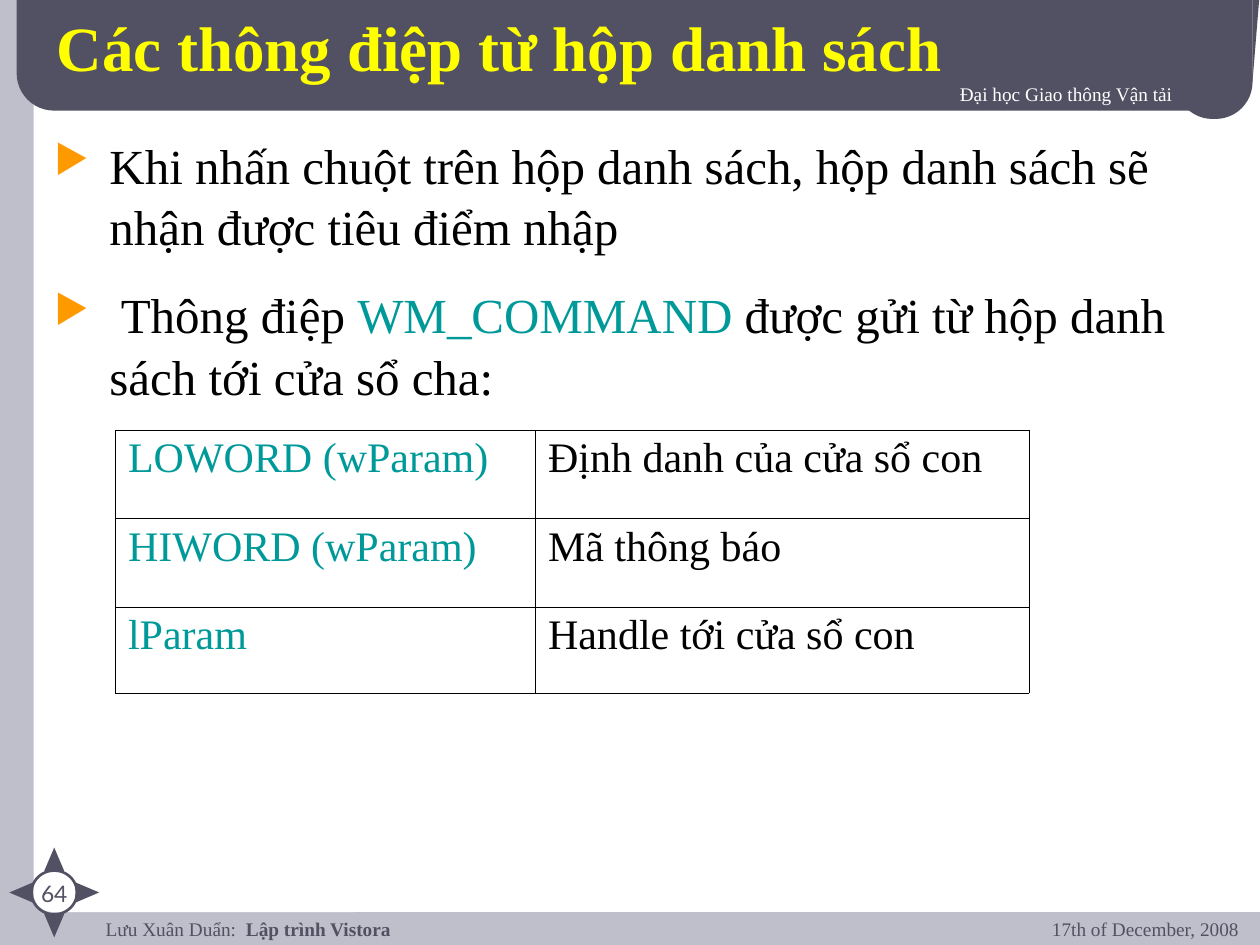
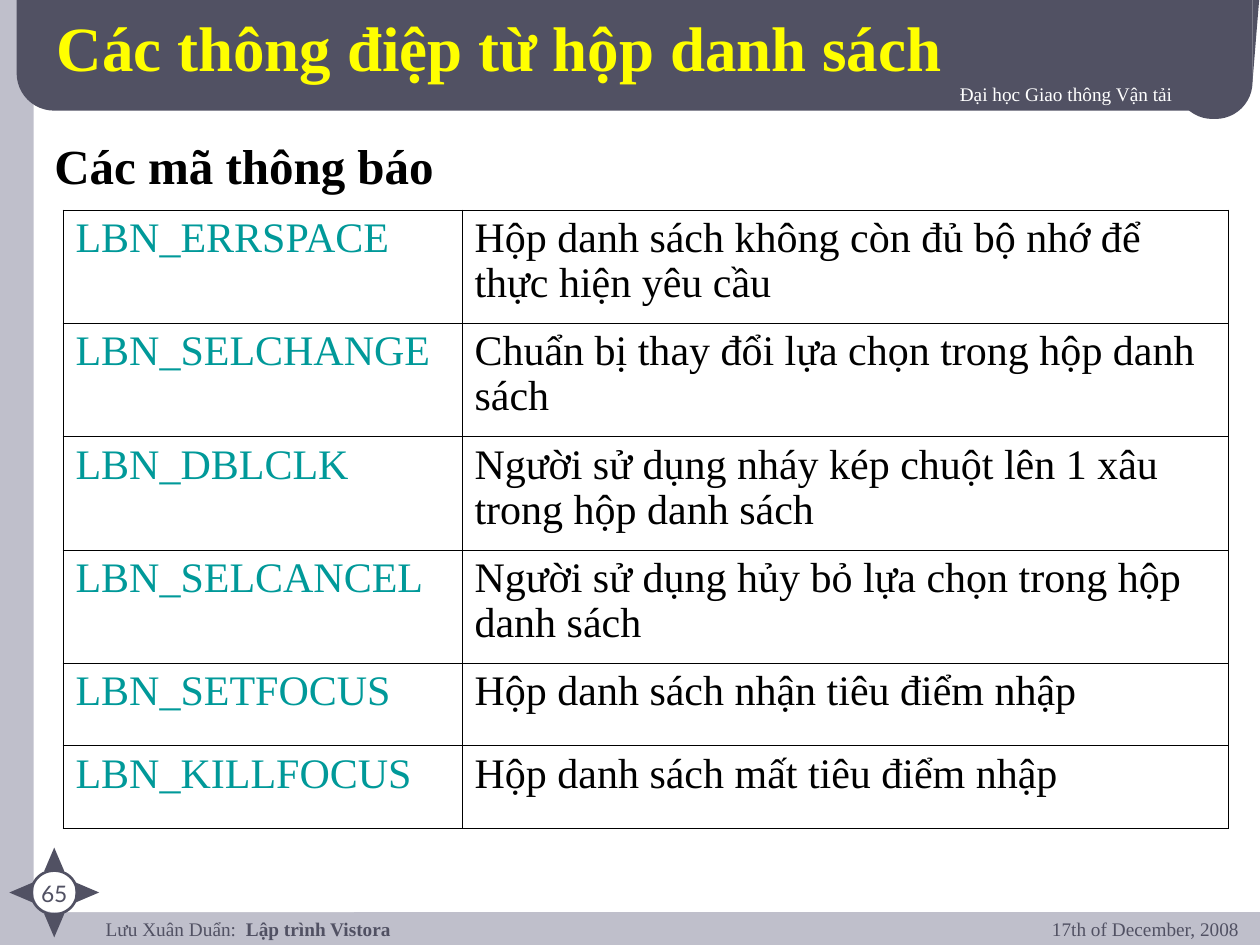
import math
import pptx
import pptx.util
import pptx.dml.color
import pptx.enum.shapes
import pptx.enum.text
import pptx.oxml
from lxml import etree

Pt = pptx.util.Pt
Kind = pptx.enum.shapes.MSO_SHAPE
Align = pptx.enum.text.PP_ALIGN
Anchor = pptx.enum.text.MSO_ANCHOR
NAMESPACE = "http://schemas.openxmlformats.org/drawingml/2006/main"

COLORS = {
    "edge": "BFBFCB",
    "paper": "FFFFFF",
    "band": "515163",
    "title": "FFFF00",
    "ink": "000000",
    "code": "009999",
    "bullet": "FF9900",
}
SERIF = "Times New Roman"
FIRST_PAGE = 64
SCHOOL = "Đại học Giao thông Vận tải"
AUTHOR = "Lưu Xuân Duẩn: "
COURSE = " Lập trình Vistora"
DATE = "17th of December, 2008"

SLIDES = [
    {
        "title": "Các thông điệp từ hộp danh sách",
        "box": (24, 72, 678, 158),
        "bullets": True,
        "body": [
            [("Khi nhấn chuột trên hộp danh sách, hộp danh sách sẽ nhận được tiêu điểm nhập", {})],
            [
                (" Thông điệp ", {}),
                ("WM_COMMAND", {"color": "code"}),
                (" được gửi từ hộp danh sách tới cửa sổ cha:", {}),
            ],
        ],
        "corner": (66, 246),
        "columns": (240, 282),
        "heights": (50.5, 50.5, 49),
        "rows": [
            ("LOWORD (wParam)", "Định danh của cửa sổ con"),
            ("HIWORD (wParam)", "Mã thông báo"),
            ("lParam", "Handle tới cửa sổ con"),
        ],
    },
    {
        "title": "Các thông điệp từ hộp danh sách",
        "box": (24, 72, 258, 41),
        "bullets": False,
        "body": [[("Các mã thông báo", {"bold": True})]],
        "corner": (36, 120),
        "columns": (228, 438),
        "heights": (64.8,) * 4 + (47,) * 2,
        "rows": [
            ("LBN_ERRSPACE", "Hộp danh sách không còn đủ bộ nhớ để thực hiện yêu cầu"),
            ("LBN_SELCHANGE", "Chuẩn bị thay đổi lựa chọn trong hộp danh sách"),
            ("LBN_DBLCLK", "Người sử dụng nháy kép chuột lên 1 xâu trong hộp danh sách"),
            ("LBN_SELCANCEL", "Người sử dụng hủy bỏ lựa chọn trong hộp danh sách"),
            ("LBN_SETFOCUS", "Hộp danh sách nhận tiêu điểm nhập"),
            ("LBN_KILLFOCUS", "Hộp danh sách mất tiêu điểm nhập"),
        ],
    },
]


def rgb(name):
    return pptx.dml.color.RGBColor.from_string(COLORS[name])


def fragment(tag, content="", attributes=""):
    return pptx.oxml.parse_xml(
        f'<a:{tag} xmlns:a="{NAMESPACE}" {attributes}>{content}</a:{tag}>'
    )


def fill_xml(name):
    return f'<a:solidFill><a:srgbClr val="{COLORS[name]}"/></a:solidFill>'


def add_span(para, text, size=28, color="ink", font=SERIF, bold=False, shadow=0):
    span = para.add_run()
    span.text = text
    span.font.size = Pt(size)
    span.font.bold = bold
    span.font.name = font
    span.font.color.rgb = rgb(color)
    if shadow:
        effect = fragment(
            "effectLst",
            f'<a:outerShdw dist="{Pt(shadow)}" dir="2700000"><a:srgbClr val="000000"/></a:outerShdw>',
        )
        span.font.fill._xPr.find(f"{{{NAMESPACE}}}solidFill").addnext(effect)


def add_box(page, place, inset=3.6):
    box = page.shapes.add_textbox(*map(Pt, place))
    frame = box.text_frame
    frame.word_wrap = True
    frame.margin_top = frame.margin_bottom = Pt(inset)
    return frame


def add_label(page, place, spans, align=Align.LEFT, inset=3.6, **style):
    para = add_box(page, place, inset).paragraphs[0]
    para.alignment = align
    for text, extra in spans:
        add_span(para, text, **style, **extra)


def add_shape(page, kind, place, fill=None, line=None, corner=None, turn=0):
    shape = page.shapes.add_shape(kind, *map(Pt, place))
    shape.shadow.inherit = False
    shape.rotation = turn
    if corner is not None:
        shape.adjustments[0] = corner
    if fill:
        shape.fill.solid()
        shape.fill.fore_color.rgb = rgb(fill)
    else:
        shape.fill.background()
    if line:
        shape.line.color.rgb = rgb(line)
        shape.line.width = Pt(1.5)
    else:
        shape.line.fill.background()


def add_compass(page, number):
    center_x, center_y, reach = 31, 510, 18.9
    width, height = 11.5, 13.5
    add_label(page, (10, 499, 42, 16), [(str(number), {})], Align.CENTER,
              size=13, color="band", font="Lato")
    add_shape(page, Kind.OVAL, (center_x - 13, center_y - 12.5, 26, 25), line="band")
    for turn in range(0, 360, 90):
        angle = math.radians(turn)
        x = center_x + reach * math.sin(angle)
        y = center_y - reach * math.cos(angle)
        add_shape(page, Kind.ISOSCELES_TRIANGLE,
                  (x - width / 2, y - height / 2, width, height), "band", turn=turn)


def add_frame(page, number):
    page.background.fill.solid()
    page.background.fill.fore_color.rgb = rgb("edge")
    add_shape(page, Kind.ROUNDED_RECTANGLE, (19.2, -9.4, 721, 530.6), "paper", corner=0.02)
    add_shape(page, Kind.ROUNDED_RECTANGLE, (9.5, -26, 706.2, 89.2), "band", corner=0.24)
    add_shape(page, Kind.ROUNDED_RECTANGLE, (671.8, 21, 43.9, 47), "band", corner=0.48)
    wedge = page.shapes.build_freeform(Pt(715.6), Pt(-6))
    wedge.add_line_segments([(Pt(720), Pt(-6)), (Pt(715.6), Pt(48))])
    edge = wedge.convert_to_shape()
    edge.shadow.inherit = False
    edge.fill.solid()
    edge.fill.fore_color.rgb = rgb("band")
    edge.line.fill.background()
    add_label(page, (53.3, 524.2, 557, 24), [(AUTHOR, {}), (COURSE, {"bold": True})],
              inset=0, size=11, color="band")
    add_compass(page, number)
    add_label(page, (218, 43.2, 459, 27), [(SCHOOL, {})], Align.RIGHT,
              size=11, color="paper", shadow=1)
    add_label(page, (541.5, 520.6, 173.5, 30), [(DATE, {})], Align.RIGHT,
              size=11, color="band")


def set_title(page, text):
    title = page.shapes.title
    title.left, title.top, title.width, title.height = map(Pt, (25.2, 5.8, 602, 41))
    page.shapes._spTree.append(title.element)
    frame = title.text_frame
    frame.auto_size = pptx.enum.text.MSO_AUTO_SIZE.NONE
    frame.vertical_anchor = Anchor.MIDDLE
    para = frame.paragraphs[0]
    para.alignment = Align.LEFT
    add_span(para, text, size=36, color="title", bold=True, shadow=2)


def add_body(page, place, paragraphs, bullets):
    frame = add_box(page, place)
    for index, spans in enumerate(paragraphs):
        para = frame.add_paragraph() if index else frame.paragraphs[0]
        para.line_spacing = 1.05
        para.space_before = Pt(15)
        for text, style in spans:
            add_span(para, text, **style)
        if bullets:
            properties = para._p.get_or_add_pPr()
            properties.set("marL", str(Pt(31.5)))
            properties.set("indent", str(Pt(-31.5)))
            properties.append(fragment("buClr", f'<a:srgbClr val="{COLORS["bullet"]}"/>'))
            properties.append(fragment("buSzPct", attributes='val="80000"'))
            properties.append(fragment("buChar", attributes='char="▶"'))


def add_grid(page, corner, columns, heights, rows):
    size = (sum(columns), sum(heights))
    table = page.shapes.add_table(len(rows), len(columns), *map(Pt, corner + size)).table
    table.first_row = table.horz_banding = False
    for column, width in zip(table.columns, columns):
        column.width = Pt(width)
    for row, height, texts in zip(table.rows, heights, rows):
        row.height = Pt(height)
        for cell, text, color in zip(row.cells, texts, ("code", "ink")):
            para = cell.text_frame.paragraphs[0]
            para.line_spacing = 0.97
            add_span(para, text, size=24, color=color)
            properties = cell._tc.get_or_add_tcPr()
            for side in ("lnL", "lnR", "lnT", "lnB"):
                properties.append(fragment(side, fill_xml("ink"), f'w="{Pt(0.45)}"'))
            cell.fill.background()


def main():
    deck = pptx.Presentation()
    deck.slide_width, deck.slide_height = Pt(720), Pt(540)
    for number, content in enumerate(SLIDES, FIRST_PAGE):
        page = deck.slides.add_slide(deck.slide_layouts[5])
        add_frame(page, number)
        set_title(page, content["title"])
        add_body(page, content["box"], content["body"], content["bullets"])
        add_grid(page, content["corner"], content["columns"], content["heights"], content["rows"])
    deck.save("out.pptx")


if __name__ == "__main__":
    main()
